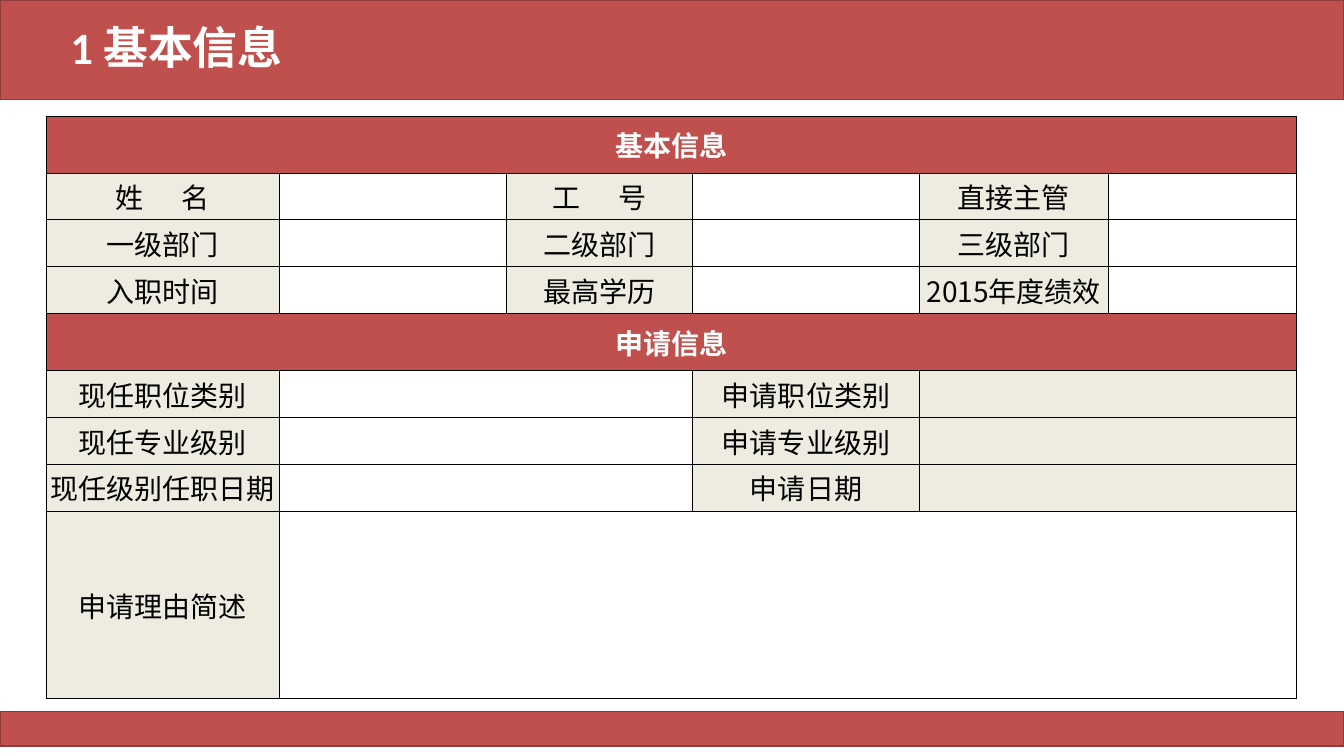
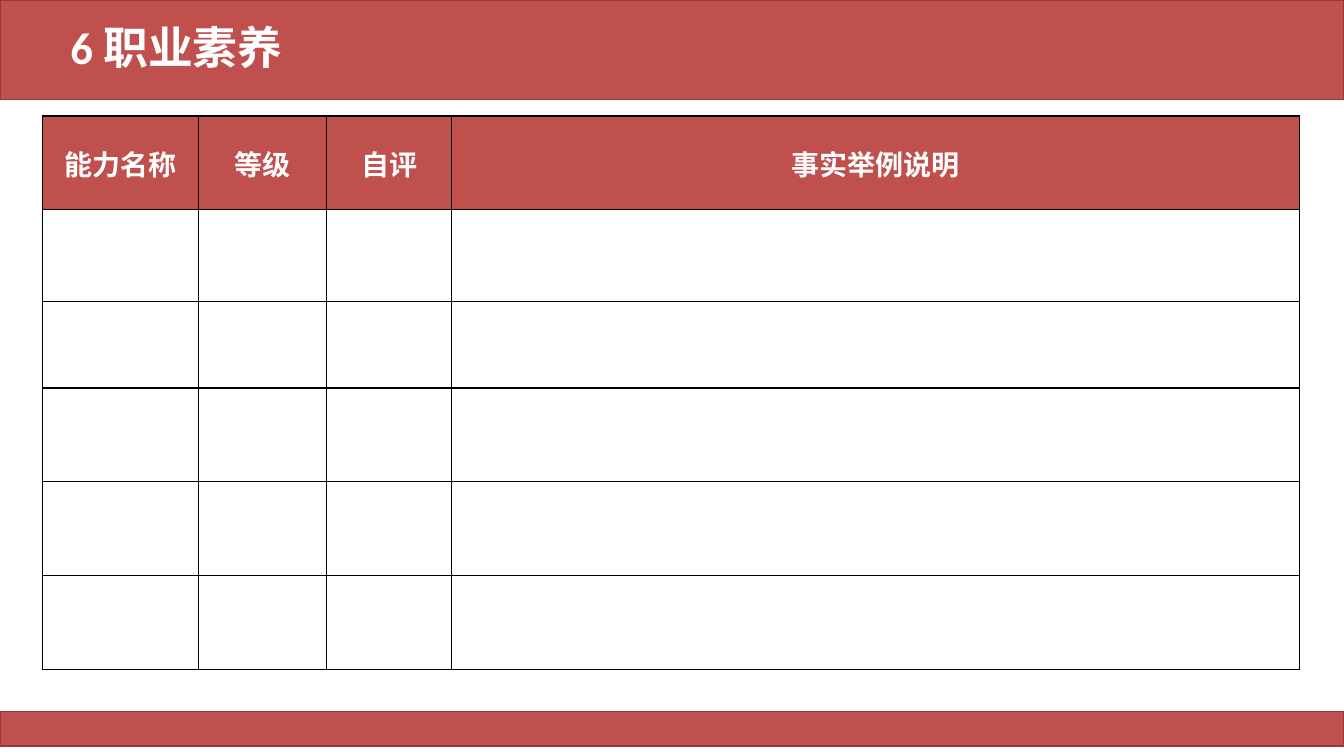
from lxml import etree
from pptx import Presentation, util as u
from pptx.dml.color import RGBColor
from pptx.enum import shapes, text
from pptx.oxml.ns import qn

COLORS = {
    "band": "C0504D",
    "band_edge": "8E3B39",
    "label": "EEECE1",
    "white": "FFFFFF",
    "black": "000000",
}
LATIN_TITLE, CJK = "Calibri", "Noto Sans CJK SC"
WIDTH, HEIGHT = 13.33, 7.5
TABLE_TOP = 1.15


def add_run(paragraph, words, size, font, color, bold):
    run = paragraph.add_run()
    run.text = words
    run.font.size = u.Pt(size)
    run.font.name = font
    run.font.bold = bold
    run.font.color.rgb = RGBColor.from_string(COLORS[color])
    etree.SubElement(run.font._element, qn("a:ea"), typeface=CJK)
    return run


def add_form(slide, left, columns, rows, entries, line_width, inset):
    """Entries are (row, column, columns spanned, words, fill name or None)."""
    form = slide.shapes.add_table(
        len(rows), len(columns), u.Inches(left), u.Inches(TABLE_TOP),
        u.Inches(sum(columns)), u.Inches(sum(rows))).table
    form.first_row = form.horz_banding = False
    for column, width in zip(form.columns, columns):
        column.width = u.Inches(width)
    for row, height in zip(form.rows, rows):
        row.height = u.Inches(height)

    # Words, spans and fills
    fills = {}
    for r, c, span, words, fill in entries:
        cell = form.cell(r, c)
        fills[r, c] = fill
        if span > 1:
            cell.merge(form.cell(r, c + span - 1))
        paragraph = cell.text_frame.paragraphs[0]
        paragraph.alignment = text.PP_ALIGN.CENTER
        heading = fill == "band"
        style = (20, CJK, "white" if heading else "black", heading)
        for i, part in enumerate(words.split()):
            if i:  # a wide gap between the two characters of a short label
                gap = add_run(paragraph, " ", *style)
                gap.font._element.set("spc", "2240")
            add_run(paragraph, part, *style)

    # Margins and borders of every cell
    for r in range(len(rows)):
        for c in range(len(columns)):
            cell = form.cell(r, c)
            cell.vertical_anchor = text.MSO_ANCHOR.MIDDLE
            cell.margin_left = cell.margin_right = u.Inches(inset)
            cell.margin_top = cell.margin_bottom = 0
            if fills.get((r, c)):
                cell.fill.solid()
                cell.fill.fore_color.rgb = RGBColor.from_string(COLORS[fills[r, c]])
            else:
                cell.fill.background()
            properties = cell._tc.get_or_add_tcPr()
            for i, side in enumerate(("lnL", "lnR", "lnT", "lnB")):
                border = etree.Element(qn("a:" + side), w=str(u.Pt(line_width)))
                solid = etree.SubElement(border, qn("a:solidFill"))
                etree.SubElement(solid, qn("a:srgbClr"), val=COLORS["black"])
                properties.insert(i, border)


prs = Presentation()
prs.slide_width, prs.slide_height = u.Inches(WIDTH), u.Inches(HEIGHT)
blank = prs.slide_layouts[6]

# Slides with their titles
slides = []
for title in ("1 基本信息", "6 职业素养"):
    slide = prs.slides.add_slide(blank)
    slides.append(slide)
    frame = slide.shapes.add_textbox(
        u.Inches(0.6), u.Inches(0.2), u.Inches(11.5), u.Inches(0.59)).text_frame
    frame.word_wrap = True
    frame.vertical_anchor = text.MSO_ANCHOR.MIDDLE
    frame.paragraphs[0].line_spacing = 0.9
    add_run(frame.paragraphs[0], title, 32, LATIN_TITLE, "white", True)
basics, competence = slides

# Top and bottom bands, moved to the layout that both slides share
for top, height in ((0, 0.99), (7.06, 0.34)):
    band = basics.shapes.add_shape(
        shapes.MSO_SHAPE.RECTANGLE, 0, u.Inches(top), u.Inches(WIDTH), u.Inches(height))
    band.shadow.inherit = False
    band.fill.solid()
    band.fill.fore_color.rgb = RGBColor.from_string(COLORS["band"])
    band.line.color.rgb = RGBColor.from_string(COLORS["band_edge"])
    band.line.width = u.Pt(1)
    blank.shapes.element.append(band.element)

# Slide 1: personal details, then the application
line, heading = 0.465, 0.565
entries = [(0, 0, 6, "基本信息", "band"), (4, 0, 6, "申请信息", "band")]
details = [
    ("姓 名", "工 号", "直接主管"),
    ("一级部门", "二级部门", "三级部门"),
    ("入职时间", "最高学历", "2015年度绩效"),
]
for r, labels in enumerate(details, start=1):
    entries += [(r, 2 * i, 1, label, "label") for i, label in enumerate(labels)]
application = [
    ("现任职位类别", "申请职位类别"),
    ("现任专业级别", "申请专业级别"),
    ("现任级别任职日期", "申请日期"),
]
for r, (current, requested) in enumerate(application, start=5):
    entries += [
        (r, 0, 1, current, "label"), (r, 1, 2, "", None),
        (r, 3, 1, requested, "label"), (r, 4, 2, "", "label"),
    ]
entries += [(8, 0, 1, "申请理由简述", "label"), (8, 1, 5, "", None)]
add_form(basics, 0.46, [2.31, 2.25, 1.85, 2.25, 1.87, 1.87],
         [heading, *[line] * 3, heading, *[line] * 3, 4 * line], entries, 0.5, 0)

# Slide 2: self-assessment of competences
headings = ("能力名称", "等级", "自评", "事实举例说明")
add_form(competence, 0.42, [1.55, 1.27, 1.24, 8.41],
         [0.93, 0.91, 0.86, *[0.93] * 3],
         [(0, c, 1, label, "band") for c, label in enumerate(headings)], 1, 0.07)

prs.save("out.pptx")
